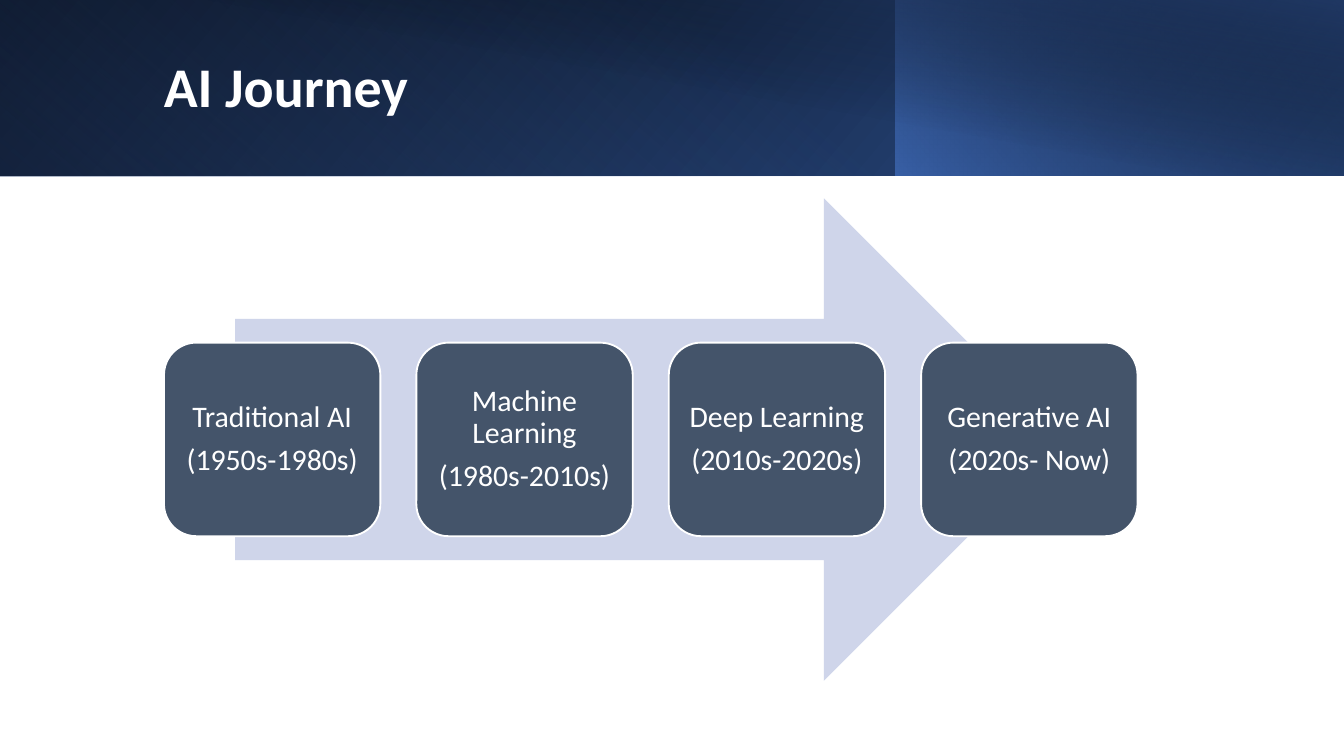
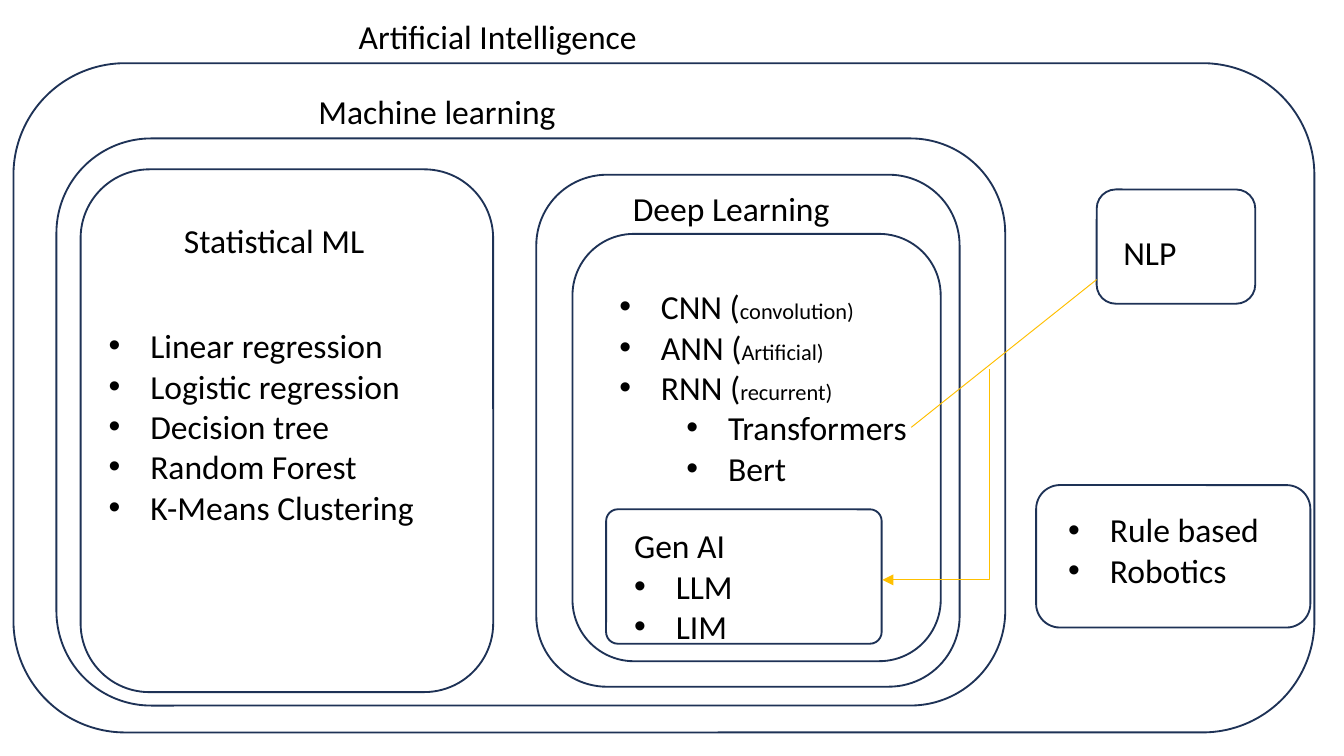
from dataclasses import dataclass

from lxml.etree import SubElement
from pptx import Presentation
from pptx.dml.color import RGBColor as Rgb
from pptx.enum.shapes import MSO_CONNECTOR as Link, MSO_SHAPE as Shape
from pptx.enum.text import MSO_ANCHOR as Anchor, PP_ALIGN as Align
from pptx.oxml import parse_xml
from pptx.oxml.ns import nsdecls, qn
from pptx.util import Inches, Pt


@dataclass(frozen=True)
class Theme:
    font: str = "Calibri"
    white: str = "FFFFFF"
    black: str = "000000"
    blue: str = "4472C4"
    mid_blue: str = "2F5597"
    deep_blue: str = "203864"
    slate: str = "44546A"
    pale: str = "CFD5EA"
    outline: str = "1E3256"
    gold: str = "FFC000"
    title: float = 30
    label: float = 18
    step: float = 16
    small: float = 12


T = Theme()
COLUMNS, ROWS = 100, 56.25  # square cells, a tenth of an inch each
CELL = Inches(0.1)


def cells(*lengths):
    return [round(length * CELL) for length in lengths]


def write(frame, lines, size, color, bold=False, align=Align.LEFT,
          spacing=None, after=0, wrap=True):
    """Fill a frame; a line is (text, bullet level or None, small ending)."""
    frame.word_wrap = wrap
    for i, (text, level, ending) in enumerate(lines):
        para = frame.paragraphs[0] if i == 0 else frame.add_paragraph()
        para.add_run().text = text
        if ending:
            tail = para.add_run()
            tail.text = ending
            tail.font.size = Pt(T.small)
        if level is not None:
            para.level = level
            props = para._p.get_or_add_pPr()
            props.set("marL", str(Inches(0.31 + 0.5 * level)))
            props.set("indent", str(-Inches(0.31)))
            SubElement(props, qn("a:buFont"), typeface="Arial")
            SubElement(props, qn("a:buChar"), char="•")
        para.alignment = align
        if spacing:
            para.line_spacing = spacing
            para.space_after = Pt(after)
        para.font.name = T.font
        para.font.size = Pt(size)
        para.font.bold = bold
        para.font.color.rgb = Rgb.from_string(color)


deck = Presentation()
deck.slide_width, deck.slide_height = cells(COLUMNS, ROWS)
blank = deck.slide_layouts[6]

# AI Journey
journey = deck.slides.add_slide(blank)

# box, rotation, mirrored, angle, stops of (position, colour, opacity)
band_layers = [
    ((0, 0, 100, 13.1), 0, True, 140,
     [(0, T.black, 100), (100, T.mid_blue, 100)]),
    ((0, 0, 66.6, 13.1), 180, True, 230,
     [(20, T.blue, 0), (100, T.deep_blue, 55)]),
    ((66.6, 0, 33.4, 13.1), 0, True, 220,
     [(0, T.blue, 66), (100, T.black, 30)]),
    ((3.8, 0, 96.2, 13.1), 0, False, 280,
     [(50, T.black, 0), (99, T.deep_blue, 52)]),
]
for box, rotation, mirrored, angle, stops in band_layers:
    layer = journey.shapes.add_shape(Shape.RECTANGLE, *cells(*box))
    layer.shadow.inherit = False
    layer.line.fill.background()
    layer.rotation = rotation
    props = layer._element.spPr
    if mirrored:
        props.find(qn("a:xfrm")).set("flipH", "1")
    stop_xml = "".join(
        f'<a:gs pos="{pos * 1000}"><a:srgbClr val="{color}">'
        f'<a:alpha val="{opacity * 1000}"/></a:srgbClr></a:gs>'
        for pos, color, opacity in stops)
    props.find(qn("a:prstGeom")).addnext(parse_xml(
        f'<a:gradFill {nsdecls("a")} rotWithShape="1"><a:gsLst>{stop_xml}</a:gsLst>'
        f'<a:lin ang="{angle * 60000}" scaled="0"/></a:gradFill>'))

heading = journey.shapes.add_textbox(*cells(11.2, 2.4, 81.2, 8.5)).text_frame
heading.vertical_anchor = Anchor.MIDDLE
write(heading, [("AI Journey", None, "")], T.title, T.white, bold=True,
      spacing=0.9, after=6)

timeline = journey.shapes.add_shape(Shape.RIGHT_ARROW, *cells(17.5, 14.75, 61.75, 35.9))
timeline.shadow.inherit = False
timeline.fill.solid()
timeline.fill.fore_color.rgb = Rgb.from_string(T.pale)
timeline.line.fill.background()

eras = [
    ("Traditional AI", "(1950s-1980s)"),
    ("Machine Learning", "(1980s-2010s)"),
    ("Deep Learning", "(2010s-2020s)"),
    ("Generative AI", "(2020s- Now)"),
]
for i, era in enumerate(eras):
    card = journey.shapes.add_shape(
        Shape.ROUNDED_RECTANGLE, *cells(12.2 + 18.78 * i, 25.5, 16.1, 14.4))
    card.shadow.inherit = False
    card.fill.solid()
    card.fill.fore_color.rgb = Rgb.from_string(T.slate)
    card.line.color.rgb = Rgb.from_string(T.white)
    card.line.width = Pt(1)
    frame = card.text_frame
    frame.vertical_anchor = Anchor.MIDDLE
    frame.margin_left = frame.margin_right = Inches(0.07)
    frame.margin_top = frame.margin_bottom = Inches(0.07)
    write(frame, [(line, None, "") for line in era], T.step, T.white,
          align=Align.CENTER, spacing=0.9, after=5.6)

# Map of the fields of AI
fields = deck.slides.add_slide(blank)

regions = [  # box, corner share
    ((1, 4.7, 96.8, 49.8), 0.167),      # artificial intelligence
    ((4.2, 10.3, 70.6, 42.2), 0.167),   # machine learning
    ((6, 12.6, 30.7, 38.9), 0.167),     # statistical ML
    ((39.9, 13, 31.5, 38.1), 0.167),    # deep learning
    ((45.1, 37.9, 20.5, 10), 0.087),    # generative AI
    ((81.6, 14.1, 11.8, 8.5), 0.167),   # NLP
    ((77.1, 36.1, 20.4, 10.6), 0.167),  # rules and robotics
    ((42.6, 17.4, 27.4, 31.8), 0.167),  # neural networks
]
for box, corner in regions:
    region = fields.shapes.add_shape(Shape.ROUNDED_RECTANGLE, *cells(*box))
    region.shadow.inherit = False
    region.adjustments[0] = corner
    region.fill.background()
    region.line.color.rgb = Rgb.from_string(T.outline)
    region.line.width = Pt(1)

captions = [  # box, wrap, lines
    ((22.7, 6.3, 31.9, 4), True, [("Machine learning", None, "")]),
    ((25.7, 0.7, 35.5, 4), True, [("Artificial Intelligence", None, "")]),
    ((12.7, 15.9, 15.6, 4), False, [("Statistical ML", None, "")]),
    ((46.1, 13.5, 16.9, 4), False, [("Deep Learning", None, "")]),
    ((46.2, 38.6, 15.3, 16.2), True,
     [("Gen AI", None, ""), ("LLM", 0, ""), ("LIM", 0, "")]),
    ((82.6, 16.8, 9.4, 4), True, [("NLP", None, "")]),
    ((78.5, 37.4, 19, 7.1), True, [("Rule based", 0, ""), ("Robotics", 0, "")]),
    ((7.1, 23.7, 28.2, 16.2), True,
     [("Linear regression", 0, ""), ("Logistic regression", 0, ""),
      ("Decision tree", 0, ""), ("Random Forest", 0, ""),
      ("K-Means Clustering", 0, "")]),
    ((45.1, 20.8, 25, 16.2), True,
     [("CNN (", 0, "convolution)"), ("ANN (", 0, "Artificial)"),
      ("RNN (", 0, "recurrent)"), ("Transformers", 1, ""), ("Bert", 1, "")]),
]
for box, wrap, lines in captions:
    caption = fields.shapes.add_textbox(*cells(*box))
    write(caption.text_frame, lines, T.label, T.black, wrap=wrap)

to_nlp = fields.shapes.add_connector(Link.STRAIGHT, *cells(67.8, 31.8, 81.6, 20.8))
to_gen_ai = fields.shapes.add_connector(Link.ELBOW, *cells(61.8, 31.3, 77.5, 39.3))
for link in (to_nlp, to_gen_ai):
    link.line.color.rgb = Rgb.from_string(T.gold)
    link.line.width = Pt(0.5)
    SubElement(link._element.spPr, qn("a:effectLst"))

# One bend only, turned to run down and then left
bend = to_gen_ai._element.spPr
bend.find(qn("a:prstGeom")).set("prst", "bentConnector2")
bend.find(qn("a:xfrm")).set("rot", str(90 * 60000))
SubElement(bend.find(qn("a:ln")), qn("a:tailEnd"), type="triangle")

deck.save("out.pptx")
